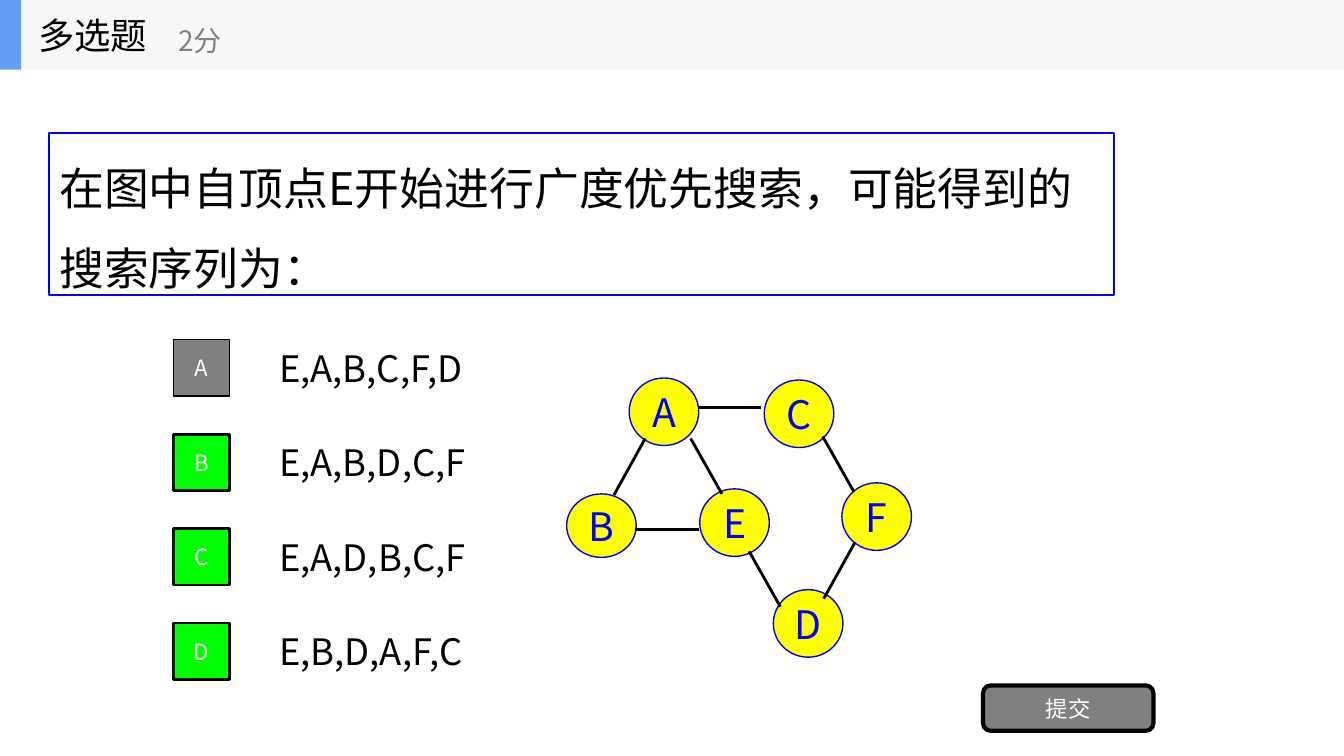
"""Build a multiple-choice slide about breadth-first search on a graph."""
from lxml import etree
from pptx import Presentation, util as u
from pptx.dml.color import RGBColor
from pptx.enum import shapes as sh, text as tx
from pptx.oxml.ns import qn

FONT = "Noto Sans CJK SC"
HUE = {"black": "000000", "white": "FFFFFF", "blue": "0000FF", "grey": "808080",
       "green": "00FF00", "yellow": "FFFF00", "bar": "F6F7F8", "mark": "639EF4"}
WIDE, HIGH = 13.33, 7.5

TITLE, SCORE, SUBMIT = "多选题", "2分", "提交"
ASK = "在图中自顶点E开始进行广度优先搜索，可能得到的搜索序列为："
CHOICES = [("A", "E,A,B,C,F,D", False), ("B", "E,A,B,D,C,F", True),
           ("C", "E,A,D,B,C,F", True), ("D", "E,B,D,A,F,C", True)]
NODES = {"A": (6.24, 3.75), "C": (7.58, 3.77), "B": (5.62, 4.9),
         "E": (6.94, 4.85), "F": (8.35, 4.79), "D": (7.67, 5.85)}
FLAT, FALL, RISE = (0.63, 0), (0.31, 0.55), (0.31, -0.56)
EDGES = [((6.92, 4.04), FLAT), ((6.85, 4.35), FALL), ((6.09, 4.91), RISE),
         ((6.3, 5.25), FLAT), ((8.16, 4.33), FALL), ((8.17, 5.94), RISE),
         ((7.43, 5.47), FALL)]
TOP, STEP, SIDE, LABEL = 3.37, 0.937, 0.56, 0.7
NODE, SHORT, BAR = 0.69, 0.67, 0.69

prs = Presentation()
prs.slide_width, prs.slide_height = u.Inches(WIDE), u.Inches(HIGH)
slide = prs.slides.add_slide(prs.slide_layouts[6])


def tint(name):
    return RGBColor.from_string(HUE[name])


def write(shape, words, size, color="black", align="LEFT", space=None, inset=None):
    frame = shape.text_frame
    frame.word_wrap = True
    frame.vertical_anchor = tx.MSO_ANCHOR.MIDDLE
    if inset:
        (frame.margin_left, frame.margin_top,
         frame.margin_right, frame.margin_bottom) = map(u.Inches, inset)
    para = frame.paragraphs[0]
    para.alignment = getattr(tx.PP_ALIGN, align)
    if space:
        para.line_spacing = space
    run = para.add_run()
    run.text = words
    run.font.size, run.font.name = u.Pt(size), FONT
    run.font.color.rgb = tint(color)
    etree.SubElement(run._r.get_or_add_rPr(), qn("a:ea")).set("typeface", FONT)


def draw(kind, box, fill, line=None, width=1, home=slide):
    shape = home.shapes.add_shape(getattr(sh.MSO_SHAPE, kind), *map(u.Inches, box))
    shape.shadow.inherit = False
    shape.fill.solid()
    shape.fill.fore_color.rgb = tint(fill)
    if line:
        shape.line.color.rgb, shape.line.width = tint(line), u.Pt(width)
    else:
        shape.line.fill.background()
    return shape


def label(box, words, size, color="black", home=slide):
    write(home.shapes.add_textbox(*map(u.Inches, box)), words, size, color)


def join(start, step):
    ends = (*start, start[0] + step[0], start[1] + step[1])
    edge = slide.shapes.add_connector(sh.MSO_CONNECTOR.STRAIGHT, *map(u.Inches, ends))
    edge.line.color.rgb, edge.line.width = tint("black"), u.Pt(2)
    etree.SubElement(edge._element.spPr, qn("a:effectLst"))


def main():
    ask = draw("RECTANGLE", (0.49, 1.32, 10.56, 1.61), "white", "blue", 1.5)
    write(ask, ASK, 32, space=1.5)

    for row, (key, order, right) in enumerate(CHOICES):
        y = TOP + row * STEP
        label((2.67, y + (SIDE - LABEL) / 2, 2.58, LABEL), order, 26)
        tile = draw("RECTANGLE", (1.72, y, SIDE, SIDE), "green" if right else "grey",
                    "black", 2 if right else 1)
        write(tile, key, 16, "white", "CENTER")

    button = draw("ROUNDED_RECTANGLE", (9.75, 6.8, 1.69, 0.45), "grey", "black", 3)
    write(button, SUBMIT, 16, "white", "CENTER")

    for key, (x, y) in NODES.items():
        tall = 0.63 if key == "B" else SHORT
        node = draw("OVAL", (x, y, NODE, tall), "yellow", "blue")
        write(node, key, 28, "blue", "CENTER", 0.72, (0, 0.12, 0, 0))
    for start, step in EDGES:
        join(start, step)

    head = slide.shapes.add_group_shape()
    draw("RECTANGLE", (0, 0, WIDE, BAR), "bar", home=head)
    draw("RECTANGLE", (0, 0, 0.21, BAR), "mark", home=head)
    label((0.28, 0, 2.08, BAR), TITLE, 26, home=head)
    label((1.67, 0.12, 2.5, 0.56), SCORE, 20, "grey", head)
    prs.save("out.pptx")


if __name__ == "__main__":
    main()
